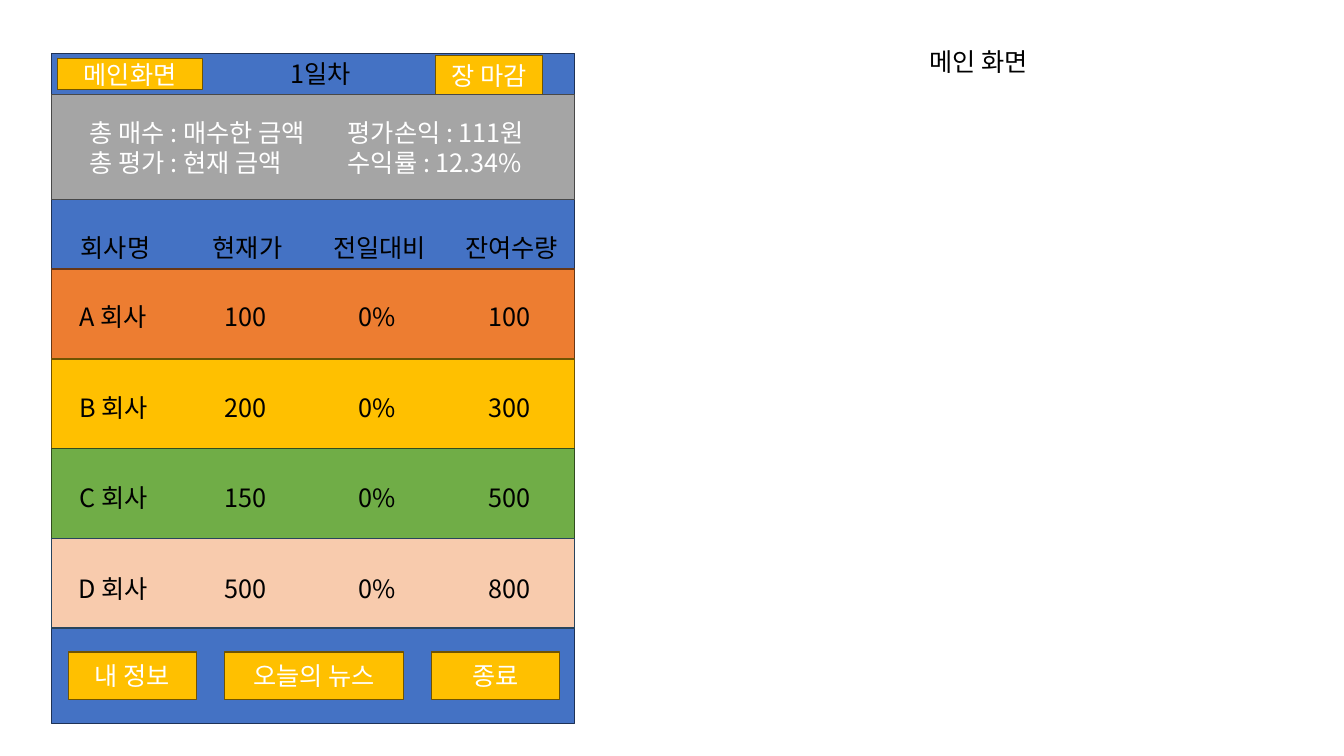
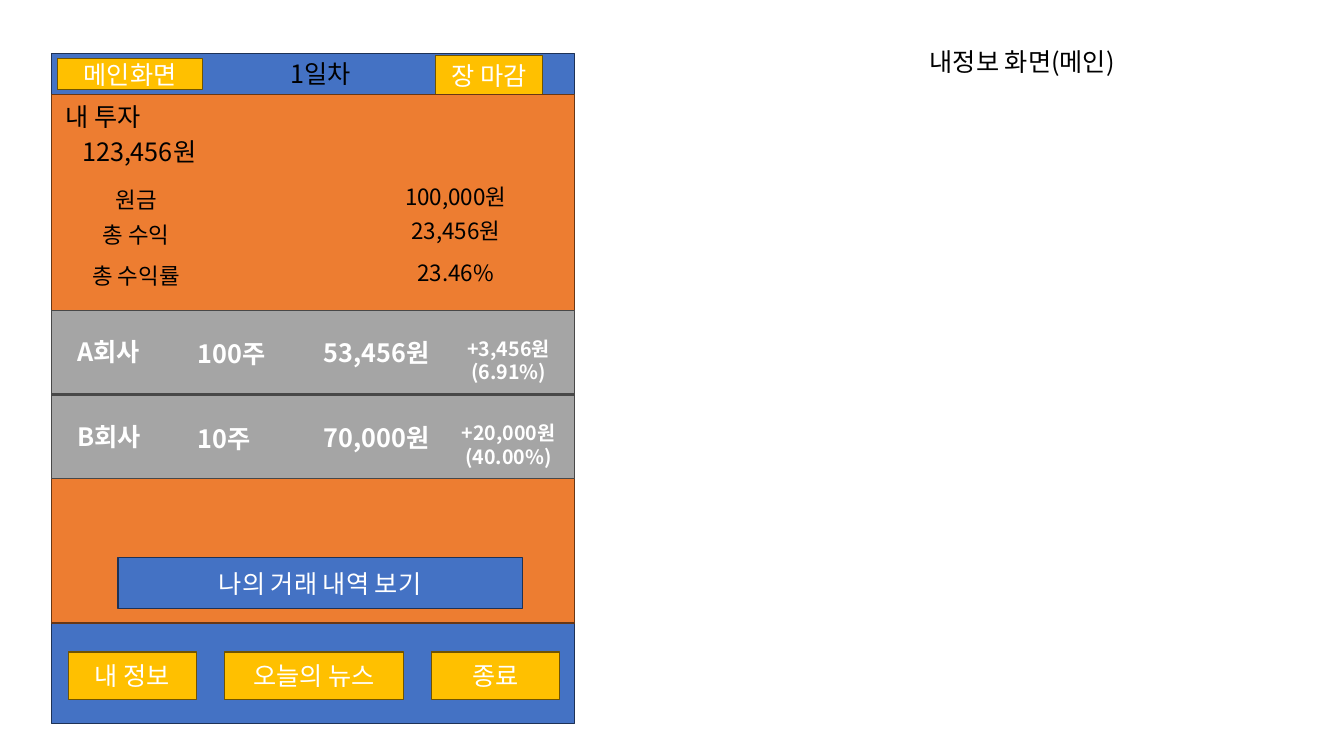
import pptx
import pptx.util
import pptx.dml.color
import pptx.enum.shapes
import pptx.enum.text
import pptx.oxml
import pptx.oxml.ns

Inches = pptx.util.Inches
ALIGN = pptx.enum.text.PP_ALIGN
ANCHOR = pptx.enum.text.MSO_ANCHOR
FONT = "Noto Sans CJK KR"
COLORS = {
    "blue": "4472C4", "gray": "A5A5A5", "orange": "ED7D31",
    "gold": "FFC000", "green": "70AD47", "peach": "F8CBAD",
    "white": "FFFFFF", "black": "000000",
}
OUTLINES = {
    "blue": "1E3256", "gray": "484848", "orange": "683715",
    "gold": "705400", "green": "314C1F", "peach": "28445D",
}
SCREEN_LEFT, SCREEN_WIDTH = 0.51, 5.19


def format_text(shape, text, color, size=18, bold=False, align=ALIGN.CENTER, anchor=ANCHOR.TOP):
    frame = shape.text_frame
    frame.text = text
    frame.word_wrap = True
    frame.auto_size = pptx.enum.text.MSO_AUTO_SIZE.NONE
    frame.vertical_anchor = anchor
    for paragraph in frame.paragraphs:
        paragraph.alignment = align
        for run in paragraph.runs:
            run.font.name = FONT
            run.font.size = pptx.util.Pt(size)
            run.font.bold = bold
            run.font.color.rgb = pptx.dml.color.RGBColor.from_string(COLORS[color])
            east_asian = pptx.oxml.parse_xml(
                f'<a:ea {pptx.oxml.ns.nsdecls("a")} typeface="{FONT}"/>')
            run.font._element.find(pptx.oxml.ns.qn("a:latin")).addnext(east_asian)


def add_block(slide, left, top, width, height, text="", fill=None, color=None, **style):
    """Add a filled rectangle, or a plain text box when there is no fill."""
    box = [Inches(length) for length in (left, top, width, height)]
    if fill:
        shape = slide.shapes.add_shape(pptx.enum.shapes.MSO_SHAPE.RECTANGLE, *box)
        shape.shadow.inherit = False
        shape.fill.solid()
        shape.fill.fore_color.rgb = pptx.dml.color.RGBColor.from_string(COLORS[fill])
        shape.line.color.rgb = pptx.dml.color.RGBColor.from_string(OUTLINES[fill])
        shape.line.width = pptx.util.Pt(1)
        style.setdefault("anchor", ANCHOR.MIDDLE)
    else:
        shape = slide.shapes.add_textbox(*box)
    if text:
        format_text(shape, text, color or ("white" if fill else "black"), **style)
    return shape


presentation = pptx.Presentation()
presentation.slide_width = Inches(13.33)
presentation.slide_height = Inches(7.5)

# Shared phone screen: title, header bar and footer buttons
BUTTONS = [
    (0.57, 0.58, 1.44, 0.31, "메인화면"),
    (4.32, 0.55, 1.06, 0.39, "장 마감"),
    (0.68, 6.47, 1.27, 0.47, "내 정보"),
    (2.23, 6.47, 1.77, 0.47, "오늘의 뉴스"),
    (4.28, 6.47, 1.27, 0.47, "종료"),
]
slides = []
for title in ("메인 화면", "내정보 화면(메인)"):
    slide = presentation.slides.add_slide(presentation.slide_layouts[5])
    title_shape = slide.shapes.title
    title_shape.left, title_shape.top = Inches(9.12), Inches(0.41)
    title_shape.width, title_shape.height = Inches(2.93), Inches(0.4)
    format_text(title_shape, title, "black", align=ALIGN.LEFT)
    add_block(slide, SCREEN_LEFT, 0.53, SCREEN_WIDTH, 6.65, fill="blue")
    add_block(slide, 2.08, 0.53, 2.2, 0.41, "1일차")
    for button in BUTTONS:
        add_block(slide, *button, fill="gold")
    slides.append(slide)
main_slide, account_slide = slides

# Main screen: account summary in two tabbed columns
summary = add_block(
    main_slide, SCREEN_LEFT, 0.94, SCREEN_WIDTH, 1.04,
    "총 매수 : 매수한 금액\t평가손익 : 111원\n총 평가 : 현재 금액\t수익률 : 12.34%",
    fill="gray", align=ALIGN.LEFT)
summary.text_frame.margin_left = Inches(0.38)
for paragraph in summary.text_frame.paragraphs:
    tab_list = pptx.oxml.parse_xml(
        f'<a:tabLst {pptx.oxml.ns.nsdecls("a")}><a:tab pos="{Inches(2.56)}" algn="l"/></a:tabLst>')
    paragraph._p.get_or_add_pPr().append(tab_list)

# Main screen: company list
COLUMN_STEP = 1.31
for column, heading in enumerate(("회사명", "현재가", "전일대비", "잔여수량")):
    add_block(main_slide, 0.51 + column * COLUMN_STEP, 2.26, 1.27, 0.4, heading)
COMPANIES = [
    ("orange", ("A 회사", "100", "0%", "100")),
    ("gold", ("B 회사", "200", "0%", "300")),
    ("green", ("C 회사", "150", "0%", "500")),
    ("peach", ("D 회사", "500", "0%", "800")),
]
for row, (fill, values) in enumerate(COMPANIES):
    add_block(main_slide, SCREEN_LEFT, 2.67 + row * 0.89, SCREEN_WIDTH, 0.89, fill=fill)
    for column, value in enumerate(values):
        add_block(main_slide, 0.49 + column * COLUMN_STEP, 2.94 + row * 0.9, 1.27, 0.4, value)

# Account screen: investment totals
add_block(account_slide, SCREEN_LEFT, 0.94, SCREEN_WIDTH, 5.24, fill="orange")
add_block(account_slide, 0.39, 0.96, 1.27, 0.4, "내 투자")
add_block(account_slide, 0.39, 1.3, 1.98, 0.4, "123,456원")
TOTALS = [
    (1.8, "원금", "100,000원"),
    (2.14, "총 수익", "23,456원"),
    (2.55, "총 수익률", "23.46%"),
]
for top, label, value in TOTALS:
    add_block(account_slide, 0.43, top, 1.84, 0.37, label, size=16)
    add_block(account_slide, 3.6, top - 0.03, 1.84, 0.37, value, size=16)

# Account screen: holdings
HOLDINGS = [
    ("A회사", "100주", "53,456원", "+3,456원\n(6.91%)"),
    ("B회사", "10주", "70,000원", "+20,000원\n(40.00%)"),
]
for row, (company, shares, amount, gain) in enumerate(HOLDINGS):
    top = 3.08 + row * 0.84
    add_block(account_slide, SCREEN_LEFT, top, SCREEN_WIDTH, 0.83, fill="gray")
    for left, offset, text in ((0.67, 0.21, company), (1.86, 0.23, shares), (3.11, 0.22, amount)):
        add_block(account_slide, left, top + offset, 1.33, 0.4, text,
                  color="white", bold=True, align=ALIGN.LEFT)
    add_block(account_slide, 4.38, top + 0.21, 1.33, 0.57, gain, color="white", size=14, bold=True)

add_block(account_slide, 1.17, 5.53, 4.01, 0.51, "나의 거래 내역 보기", fill="blue")

presentation.save("out.pptx")
